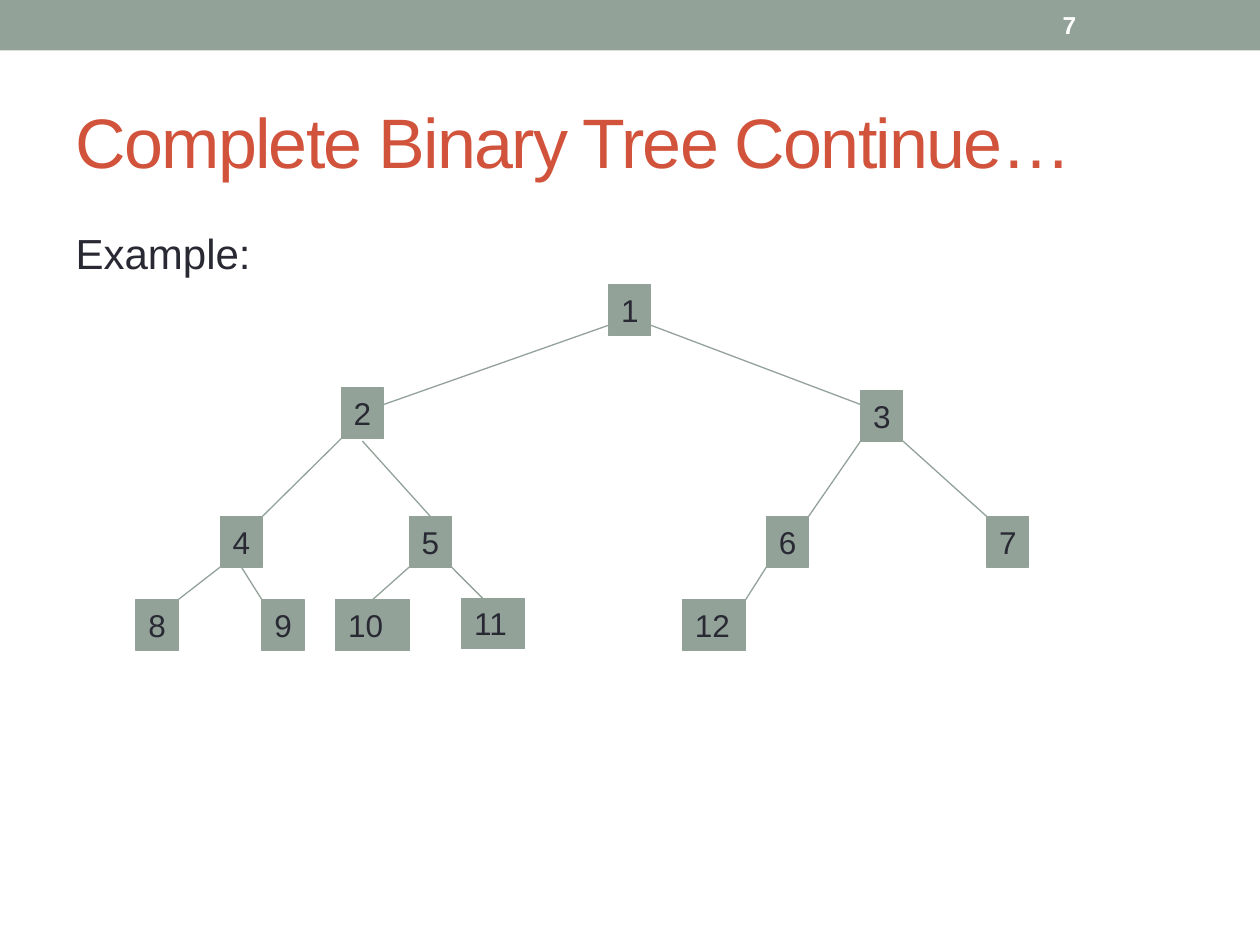
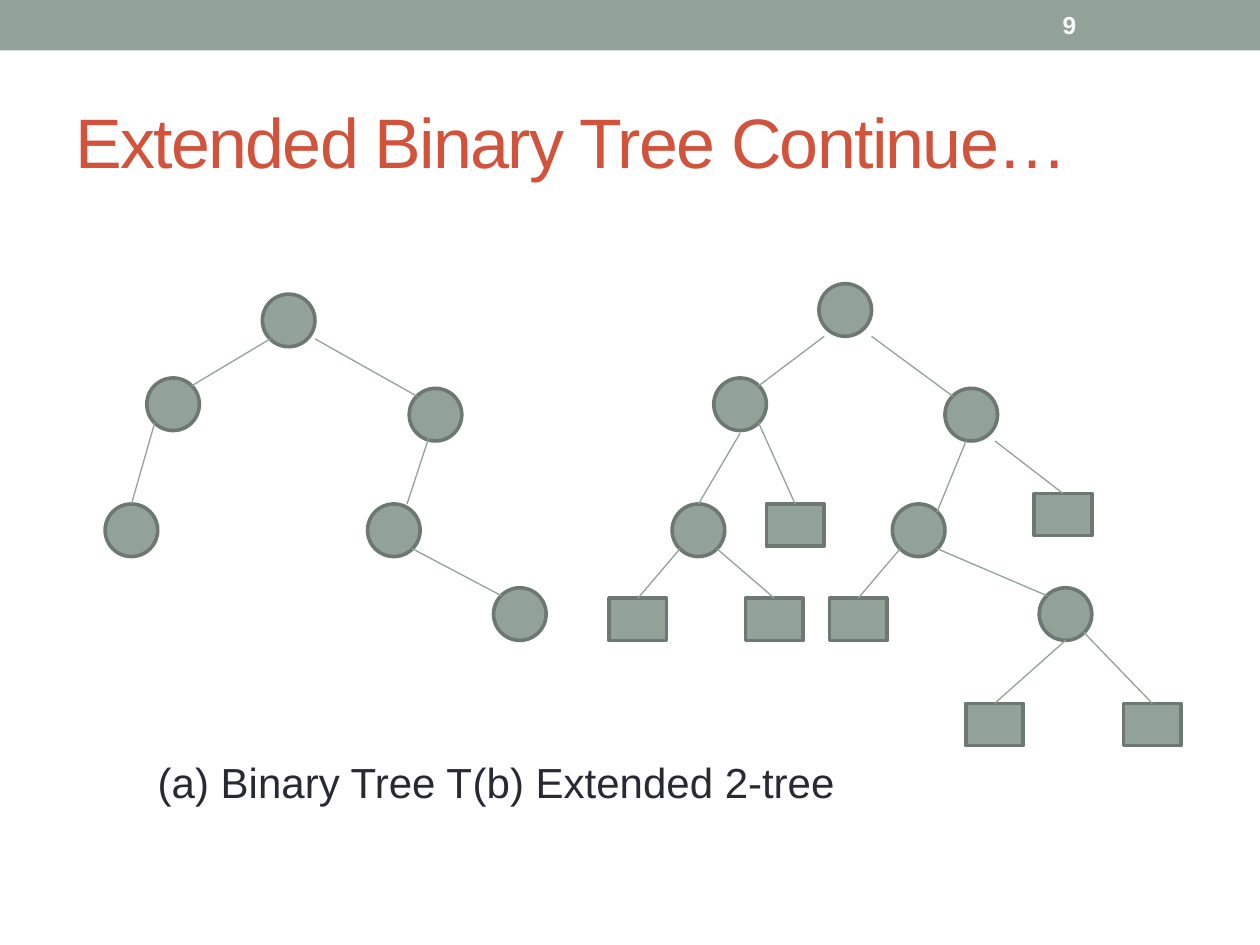
from lxml import etree
from pptx import Presentation
from pptx.dml.color import RGBColor
from pptx.enum.shapes import MSO_CONNECTOR, MSO_SHAPE
from pptx.enum.text import MSO_ANCHOR, MSO_AUTO_SIZE, PP_ALIGN
from pptx.oxml.ns import qn
from pptx.util import Cm, Pt

RECT, OVAL = MSO_SHAPE.RECTANGLE, MSO_SHAPE.OVAL
LINE = MSO_CONNECTOR.STRAIGHT
TOP, MIDDLE = MSO_ANCHOR.TOP, MSO_ANCHOR.MIDDLE
LEFT, FIXED = PP_ALIGN.LEFT, MSO_AUTO_SIZE.NONE

SAGE = RGBColor(0x93, 0xA2, 0x99)
MOSS = RGBColor(0x6D, 0x78, 0x71)
RUST = RGBColor(0xD2, 0x53, 0x3C)
INK = RGBColor(0x29, 0x29, 0x34)
WHITE = RGBColor(0xFF, 0xFF, 0xFF)

# Each text style: colour, frame values, font values
HEAD = (RUST, {"vertical_anchor": MIDDLE}, {"size": Pt(40)})
BODY = (INK, {"vertical_anchor": TOP}, {"size": Pt(24)})
PAGE = (WHITE, {"vertical_anchor": MIDDLE}, {"size": Pt(14), "bold": True})
LABEL = (INK, {"vertical_anchor": TOP}, {"size": Pt(18)})


def write(shape, text, style):
    """Put one left-aligned, unbulleted paragraph into the shape."""
    color, box, face = style
    frame = shape.text_frame
    frame.text = text
    for key, val in {"word_wrap": True, "auto_size": FIXED, **box}.items():
        setattr(frame, key, val)
    para = frame.paragraphs[0]
    para.alignment = LEFT
    font = para.runs[0].font
    for key, val in {"name": "Arial", **face}.items():
        setattr(font, key, val)
    font.color.rgb = color


def paint(shape, edge, width):
    shape.shadow.inherit = False
    shape.fill.solid()
    shape.fill.fore_color.rgb = SAGE
    shape.line.color.rgb = edge
    shape.line.width = Pt(width)


# Nodes: name -> left, top, width, height in cm
SMALL, WIDE = (0.85, 1.02), (1.27, 1.02)
boxes = {
    "1": (12.27, 5.74, *SMALL),
    "2": (6.88, 7.82, *SMALL), "3": (17.35, 7.87, *SMALL),
    "4": (4.44, 10.41, *SMALL), "5": (8.25, 10.41, *SMALL),
    "6": (15.45, 10.41, *SMALL), "7": (19.89, 10.41, *SMALL),
    "8": (2.74, 12.09, *SMALL), "9": (5.28, 12.09, *SMALL),
    "10": (6.77, 12.09, 1.48, 1.02), "11": (9.31, 12.06, *WIDE),
    "12": (13.76, 12.09, *WIDE),
}
BALL, LEAF = (1.06, 1.06), (1.16, 0.85)
balls = {
    "A": (5.29, 5.93), "B": (2.96, 7.62), "C": (2.12, 10.16),
    "D": (8.25, 7.83), "E": (7.41, 10.16), "F": (9.95, 11.85),
    "G": (16.51, 5.72), "H": (14.39, 7.62), "I": (19.05, 7.83),
    "J": (13.55, 10.16), "K": (17.99, 10.16), "L": (20.95, 11.85),
}
leaves = {
    "M": (12.28, 12.06), "N": (15.03, 12.06), "O": (16.72, 12.06),
    "P": (19.47, 14.18), "Q": (22.65, 14.18), "R": (20.85, 9.95),
    "S": (15.45, 10.16),
}
rounds = {name: (*spot, *BALL) for name, spot in balls.items()}
rounds.update({name: (*spot, *LEAF) for name, spot in leaves.items()})

# Spots on a node, as shares of its width and height
NW, NE, SW, SE = (0, 0), (1, 0), (0, 1), (1, 1)
N, S = (0.5, 0), (0.5, 1)
UL, UR, DL, DR = (0.15, 0.15), (0.85, 0.15), (0.15, 0.85), (0.85, 0.85)

# Edges: parent, spot on it, child, spot on it
links = [
    ("1", (0, 0.8), "2", (1, 0.33)), ("1", (1, 0.8), "3", (0, 0.28)),
    ("2", SW, "4", NE), ("2", (0.5, 1.05), "5", N),
    ("4", SW, "8", NE), ("4", S, "9", NW),
    ("5", SW, "10", N), ("5", SE, "11", (0.33, 0)),
    ("3", SW, "6", NE), ("3", SE, "7", NW), ("6", SW, "12", NE),
]
arms = [
    ("A", DL, "B", UR), ("A", (1, 0.85), "D", UL), ("B", DL, "C", N),
    ("D", (0.4, 0.85), "E", (0.75, 0)), ("E", DR, "F", UL),
    ("G", (0.1, 1), "H", UR), ("G", SE, "I", UL),
    ("H", (0.5, 1.05), "J", N), ("H", DR, "S", N),
    ("I", (0.4, 1), "K", UR), ("I", (0.95, 1), "R", N),
    ("J", DL, "M", N), ("J", DR, "N", N),
    ("K", DL, "O", N), ("K", DR, "L", UL),
    ("L", S, "P", N), ("L", DR, "Q", N),
]

# Title, body, body insets, page, nodes, edges, outline colour and width
pages = [
    ("Complete Binary Tree Continue…", "Example:", {},
     "7", boxes, links, SAGE, 0.75),
    ("Extended Binary Tree Continue…",
     "(a) Binary Tree T\t(b) Extended 2-tree",
     {"margin_left": Cm(1.91), "margin_top": Cm(10.8)},
     "9", rounds, arms, MOSS, 2.08),
]

deck = Presentation()
deck.slide_width, deck.slide_height = Cm(25.4), Cm(19.05)
layout = deck.slide_layouts[1]

for index, (title, body, inset, page, nodes, edges, rim, width) in enumerate(pages):
    slide = deck.slides.add_slide(layout)
    shapes = slide.shapes

    if index == 0:
        # The band moves to the layout, behind everything, for all slides
        band = shapes.add_shape(RECT, 0, 0, Cm(25.4), Cm(1.02))
        paint(band, SAGE, 0.75)
        band.line.fill.background()
        band.element.xpath(".//p:cNvPr")[0].set("id", "20")
        layout.shapes.element.insert(2, band.element)

    head, text = shapes.title, slide.placeholders[1]
    for holder, top, height in ((head, 1.47, 2.74), (text, 4.45, 13.54)):
        holder.left, holder.top = Cm(1.27), Cm(top)
        holder.width, holder.height = Cm(22.86), Cm(height)
    write(head, title, HEAD)
    head.element.xpath(".//a:rPr")[0].set("spc", "-100")

    write(text, body, (BODY[0], {**BODY[1], **inset}, BODY[2]))
    props = text.element.xpath(".//a:pPr")[0]
    props.set("marL", "0")
    props.set("indent", "0")
    etree.SubElement(props, qn("a:buNone"))
    if "\t" in body:
        tabs = etree.SubElement(props, qn("a:tabLst"))
        etree.SubElement(tabs, qn("a:tab"), pos=str(Cm(11.05)), algn="l")

    number = shapes.add_textbox(Cm(21.17), Cm(0.05), Cm(2.96), Cm(0.91))
    write(number, page, PAGE)

    for name, place in nodes.items():
        kind = OVAL if name in balls else RECT
        node = shapes.add_shape(kind, *map(Cm, place))
        paint(node, rim, width)
        if nodes is boxes:
            write(node, name, LABEL)

    for start, out, end, into in edges:
        ends = []
        for name, (across, down) in ((start, out), (end, into)):
            x, y, w, h = nodes[name]
            ends += [Cm(x + across * w), Cm(y + down * h)]
        edge = shapes.add_connector(LINE, *ends)
        edge.line.color.rgb = SAGE
        edge.line.width = Pt(0.75)
        etree.SubElement(edge.element.spPr, qn("a:effectLst"))

deck.save("out.pptx")
